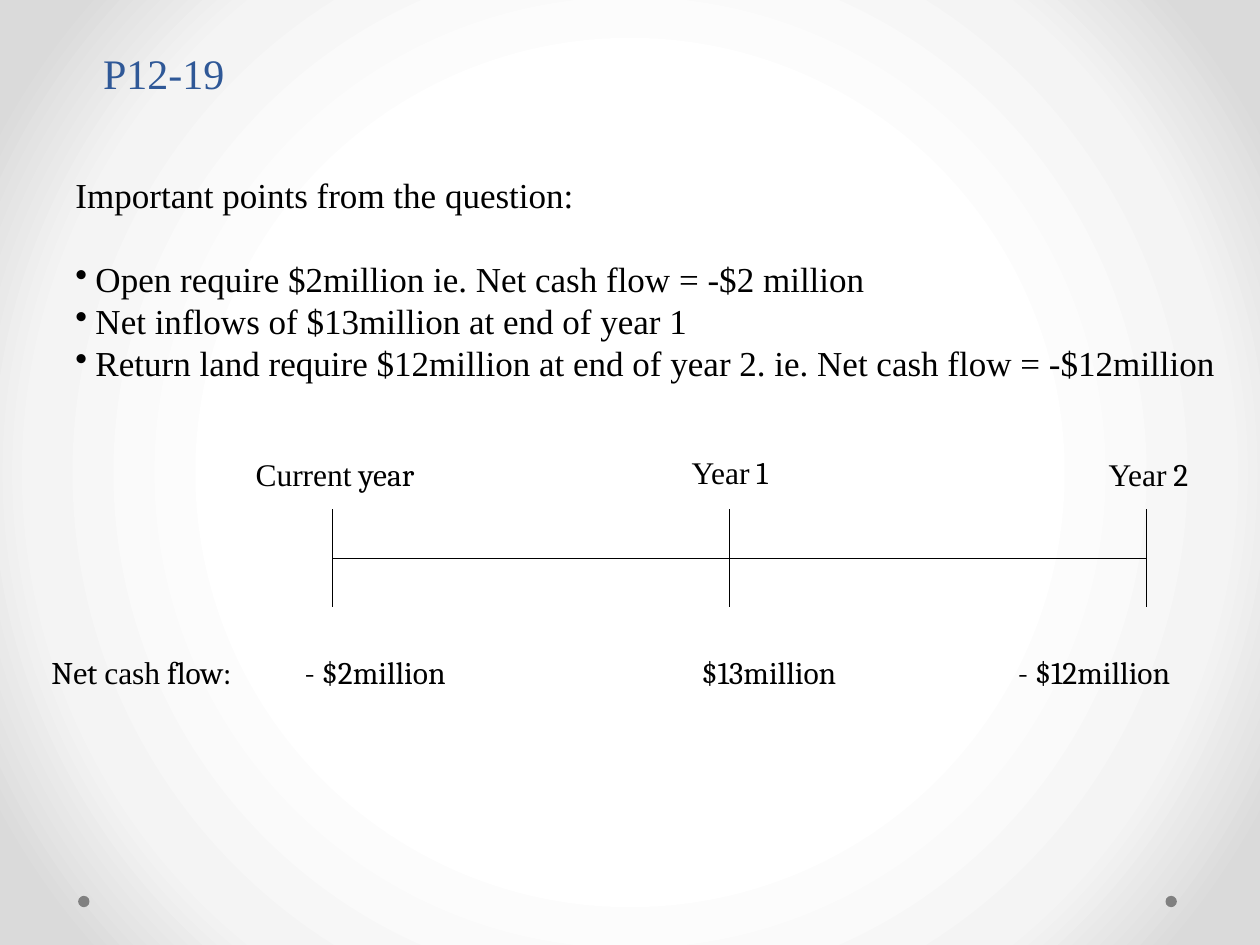
from dataclasses import dataclass

from lxml.etree import SubElement
from pptx import Presentation
from pptx.dml.color import RGBColor
from pptx.enum.shapes import MSO_CONNECTOR, MSO_SHAPE
from pptx.enum.text import MSO_ANCHOR
from pptx.oxml.ns import qn
from pptx.util import Inches, Pt

# The slide is a grid of 100 columns by 75 rows
CELL = 0.1
COLUMNS, ROWS = 100, 75


@dataclass(frozen=True)
class Theme:
    ink: str = "000000"
    title_color: str = "2F5897"
    dot: str = "808080"
    glow: tuple = ((50, "FFFFFF"), (76, "F4F4F4"), (92, "DADADA"))
    title_size: int = 24
    body_size: int = 20
    label_size: int = 18
    line_pitch: int = 24
    serif: str = "Times New Roman"
    label_font: str = "Cambria"
    line_width: float = 0.75


THEME = Theme()

POINTS = (
    "Open require $2million ie. Net cash flow = -$2 million",
    "Net inflows of $13million at end of year 1",
    "Return land require $12million at end of year 2. ie. Net cash flow = -$12million",
)


@dataclass(frozen=True)
class Period:
    column: float
    caption: tuple
    caption_column: float
    caption_row: float
    amount: str
    amount_column: float
    amount_width: float


PERIODS = (
    Period(26.4, ("Current", " year"), 19.3, 35.6, "- $2million", 23.2, 15.4),
    Period(57.9, ("Year", " 1"), 53.9, 35.5, "$13million", 54.7, 15.4),
    Period(91, ("Year", " 2"), 87, 35.6, "- $12million", 79.8, 17.5),
)
AXIS_ROW, TICK_HALF = 44.3, 3.9
AMOUNT_ROW = 51.3


def cells(*counts):
    return [Inches(count * CELL) for count in counts]


def style_run(run, font, size, color=THEME.ink):
    run.font.name = font
    run.font.size = Pt(size)
    run.font.color.rgb = RGBColor.from_string(color)


def add_text(slide, box, pieces, size, color=THEME.ink, anchor=MSO_ANCHOR.TOP):
    """Add a one-line text from (words, font) pieces."""
    frame = slide.shapes.add_textbox(*cells(*box)).text_frame
    frame.vertical_anchor = anchor
    for words, font in pieces:
        run = frame.paragraphs[0].add_run()
        run.text = words
        style_run(run, font, size, color)


def add_line(slide, start, end):
    line = slide.shapes.add_connector(MSO_CONNECTOR.STRAIGHT, *cells(*start, *end))
    line.line.color.rgb = RGBColor.from_string(THEME.ink)
    line.line.width = Pt(THEME.line_width)
    SubElement(line._element.spPr, qn("a:effectLst"))


def add_dot(slide, column):
    dot = slide.shapes.add_shape(MSO_SHAPE.OVAL, *cells(column, 71.1, 0.9, 0.9))
    dot.shadow.inherit = False
    dot.fill.solid()
    dot.fill.fore_color.rgb = RGBColor.from_string(THEME.dot)
    dot.line.fill.background()


def paint_background(slide):
    """Fill the background with a glow spreading from the centre."""
    fill = slide.background.fill
    fill.gradient()
    gradient = slide._element.cSld.find(".//" + qn("a:gradFill"))
    for child in list(gradient):
        gradient.remove(child)
    stops = SubElement(gradient, qn("a:gsLst"))
    for position, color in THEME.glow:
        stop = SubElement(stops, qn("a:gs"), pos=str(position * 1000))
        SubElement(stop, qn("a:srgbClr"), val=color)
    circle = SubElement(gradient, qn("a:path"), path="circle")
    SubElement(circle, qn("a:fillToRect"), l="50000", t="50000", r="50000", b="50000")


def make_bullet(paragraph):
    properties = paragraph._p.get_or_add_pPr()
    indent = Inches(0.16)
    properties.set("marL", str(indent))
    properties.set("indent", str(-indent))
    SubElement(properties, qn("a:buChar"), char="•")


def add_points(slide):
    frame = slide.shapes.add_textbox(*cells(5, 13.3, 93, 17.8)).text_frame
    frame.word_wrap = True
    frame.text = "Important points from the question:"
    for point in POINTS:
        paragraph = frame.add_paragraph()
        paragraph.text = point
        make_bullet(paragraph)
    for paragraph in frame.paragraphs:
        paragraph.line_spacing = Pt(THEME.line_pitch)
        style_run(paragraph.runs[0], THEME.serif, THEME.body_size)
    frame.paragraphs[1].space_before = Pt(THEME.line_pitch)


def add_timeline(slide):
    # Axis and ticks
    add_line(slide, (PERIODS[0].column, AXIS_ROW), (PERIODS[-1].column, AXIS_ROW))
    for period in PERIODS:
        add_line(slide, (period.column, AXIS_ROW - TICK_HALF),
                 (period.column, AXIS_ROW + TICK_HALF))

    # Captions above, amounts below
    fonts = (THEME.serif, THEME.label_font)
    for period in PERIODS:
        add_text(slide, (period.caption_column, period.caption_row, 15, 4),
                 zip(period.caption, fonts), THEME.label_size)
        add_text(slide, (period.amount_column, AMOUNT_ROW, period.amount_width, 4),
                 [(period.amount, THEME.label_font)], THEME.label_size,
                 anchor=MSO_ANCHOR.MIDDLE)

    # Row heading
    heading = [("Net ", THEME.label_font), ("cash", THEME.serif),
               (" flow:", THEME.label_font)]
    add_text(slide, (3.1, AMOUNT_ROW, 18.5, 4), heading, THEME.label_size,
             anchor=MSO_ANCHOR.MIDDLE)


def main():
    presentation = Presentation()
    presentation.slide_width, presentation.slide_height = cells(COLUMNS, ROWS)
    slide = presentation.slides.add_slide(presentation.slide_layouts[6])

    # Backdrop
    paint_background(slide)
    for column in (92.5, 6.2):
        add_dot(slide, column)

    # Content
    add_text(slide, (7.2, 3.3, 63, 5), [("P12-19", THEME.serif)],
             THEME.title_size, THEME.title_color)
    add_points(slide)
    add_timeline(slide)

    presentation.save("out.pptx")


if __name__ == "__main__":
    main()
